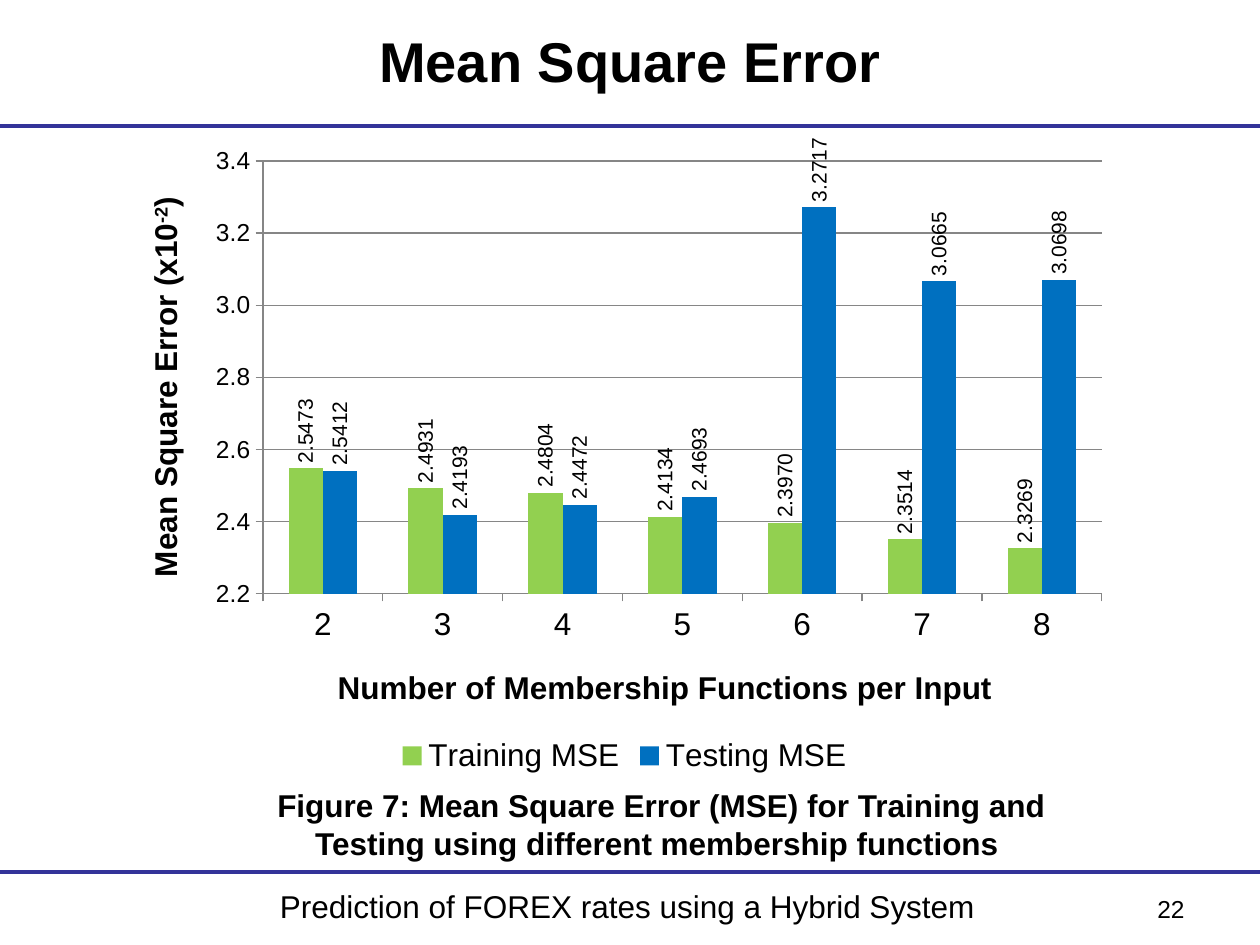
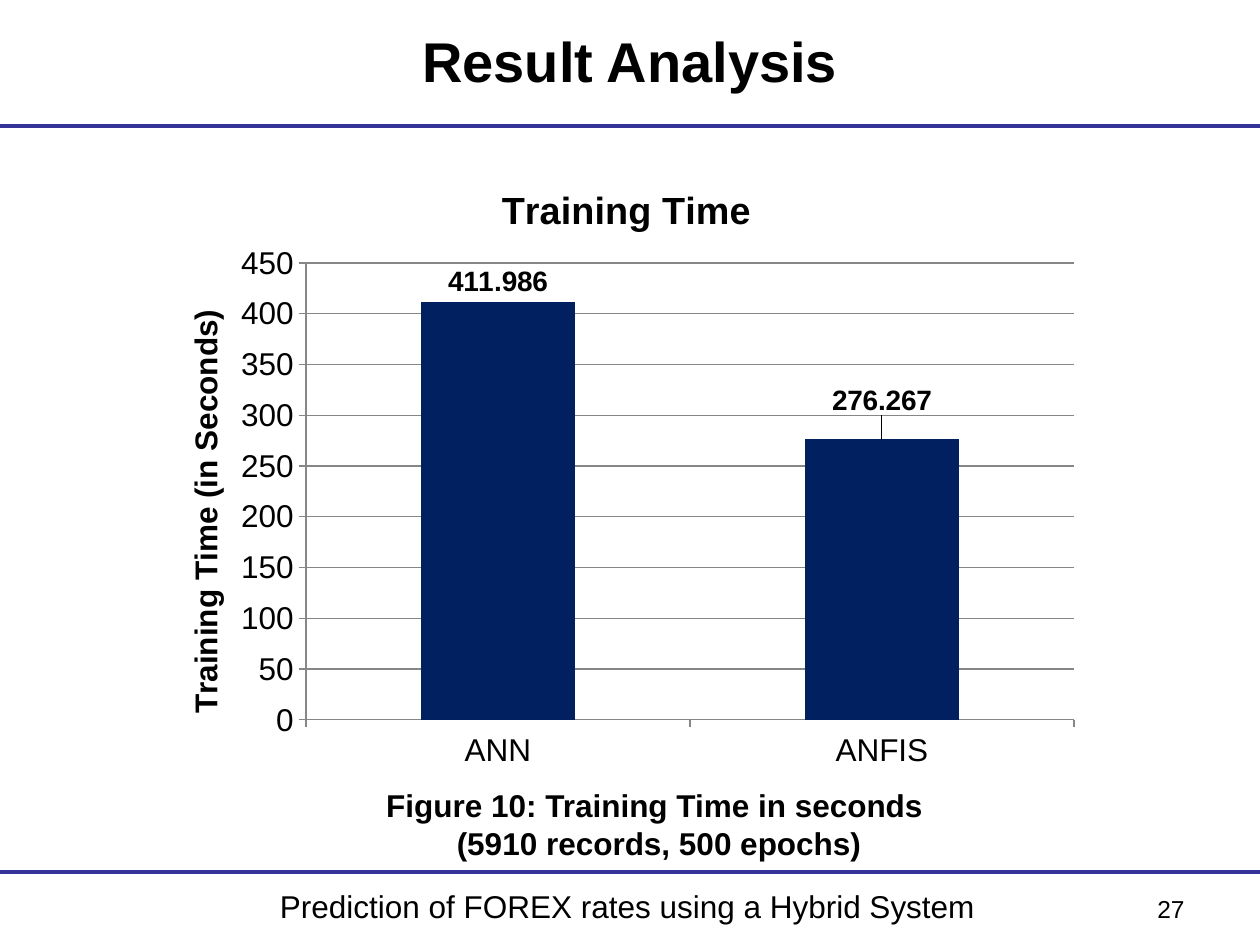
from lxml.etree import SubElement
from pptx import Presentation
from pptx.chart.data import CategoryChartData
from pptx.dml.color import RGBColor
from pptx.enum.chart import XL_CHART_TYPE, XL_LABEL_POSITION, XL_LEGEND_POSITION, XL_TICK_MARK
from pptx.enum.shapes import MSO_CONNECTOR
from pptx.enum.text import MSO_ANCHOR, PP_ALIGN
from pptx.oxml.ns import qn
from pptx.util import Emu, Pt

PX_PER_INCH = 126
WIDTH, HEIGHT = 1260, 945
FONT = "Arial"
BLACK = RGBColor(0x00, 0x00, 0x00)
RULE = RGBColor(0x33, 0x33, 0x99)
GRID = RGBColor(0x86, 0x86, 0x86)
GREEN = RGBColor(0x92, 0xD0, 0x50)
BLUE = RGBColor(0x00, 0x70, 0xC0)
NAVY = RGBColor(0x00, 0x20, 0x60)
FOOTER = "Prediction of FOREX rates using a Hybrid System"
UPWARD = "-5400000"


def px(n):
    return Emu(round(n * 914400 / PX_PER_INCH))


def set_font(font, size, bold=False):
    font.name, font.size, font.bold = FONT, Pt(size), bold
    font.color.rgb = BLACK


def add_text(s, box, lines, size, bold=False, align=PP_ALIGN.CENTER, anchor=MSO_ANCHOR.TOP):
    tf = s.shapes.add_textbox(*map(px, box)).text_frame
    tf.word_wrap = True
    tf.vertical_anchor = anchor
    tf.text = "\n".join(lines)
    for p in tf.paragraphs:
        p.alignment = align
        set_font(p.font, size, bold)


def add_rule(s, y):
    line = s.shapes.add_connector(MSO_CONNECTOR.STRAIGHT, 0, px(y), px(WIDTH), px(y))
    line.line.color.rgb = RULE
    line.line.width = Pt(2.25)
    SubElement(line._element.spPr, qn("a:effectLst"))


def add_base_slide(prs, title, number):
    """Add a slide with the shared title, rules, footer and page number."""
    s = prs.slides.add_slide(prs.slide_layouts[6])
    add_rule(s, 126)
    add_rule(s, 872)
    add_text(s, (164, 881, 927, 57), [FOOTER], 18)
    add_text(s, (63, 16, 1134, 88), [title], 32, bold=True, anchor=MSO_ANCHOR.MIDDLE)
    add_text(s, (903, 888, 294, 66), [str(number)], 14, align=PP_ALIGN.RIGHT)
    return s


def add_layout(parent, values, index=0):
    """Give a chart element a manual layout made of (tag, value) pairs."""
    layout = parent.find(qn("c:layout"))
    if layout is None:
        layout = SubElement(parent, qn("c:layout"))
        parent.insert(index, layout)
    manual = SubElement(layout, qn("c:manualLayout"))
    for tag, value in values:
        SubElement(manual, qn(f"c:{tag}")).set("val", str(value))


def edge_position(chart_box, x, y):
    left, top, width, height = chart_box
    return [("xMode", "edge"), ("yMode", "edge"),
            ("x", round((x - left) / width, 4)), ("y", round((y - top) / height, 4))]


def place_plot(chart, chart_box, plot_box):
    x, y, w, h = plot_box
    size = [("w", round(w / chart_box[2], 4)), ("h", round(h / chart_box[3], 4))]
    add_layout(chart._chartSpace.chart.plotArea,
               [("layoutTarget", "inner")] + edge_position(chart_box, x, y) + size)


def add_chart_title(title, chart_box, x, y, text, size=18, upward=False):
    """Fill a chart or axis title; text between carets is raised."""
    tf = title.text_frame
    p = tf.paragraphs[0]
    set_font(p.font, size, bold=True)
    for i, part in enumerate(text.split("^")):
        r = p.add_run()
        r.text = part
        set_font(r.font, size, bold=True)
        if i % 2:
            r.font._element.set("baseline", "30000")
    if upward:
        tf._txBody.bodyPr.set("rot", UPWARD)
        tf._txBody.bodyPr.set("vert", "horz")
    add_layout(title._element, edge_position(chart_box, x, y), index=1)


def style_axis(axis, size):
    axis.major_tick_mark = XL_TICK_MARK.OUTSIDE
    axis.minor_tick_mark = XL_TICK_MARK.NONE
    axis.format.line.color.rgb = GRID
    set_font(axis.tick_labels.font, size)


def add_column_chart(s, box, plot_box, cats, series, scale, value_size, value_format):
    """Add clustered columns; series holds (name, colour, values), scale (min, max, step)."""
    data = CategoryChartData()
    data.categories = cats
    for name, _, values in series:
        data.add_series(name, values)
    chart = s.shapes.add_chart(XL_CHART_TYPE.COLUMN_CLUSTERED, *map(px, box), data).chart
    set_font(chart.font, 18)
    chart.has_title = chart.has_legend = False
    plot = chart.plots[0]
    plot.gap_width, plot.overlap, plot.vary_by_categories = 150, 0, False
    for ser, (_, colour, _) in zip(plot.series, series):
        ser.format.fill.solid()
        ser.format.fill.fore_color.rgb = colour
    style_axis(chart.category_axis, 18)
    axis = chart.value_axis
    style_axis(axis, value_size)
    axis.minimum_scale, axis.maximum_scale, axis.major_unit = scale
    axis.tick_labels.number_format = value_format
    axis.tick_labels.number_format_is_linked = False
    axis.major_gridlines.format.line.color.rgb = GRID
    place_plot(chart, box, plot_box)
    return chart


def add_value_labels(ser, size, number_format, bold=False, upward=False):
    labels = ser.data_labels
    labels.show_value = True
    labels.position = XL_LABEL_POSITION.OUTSIDE_END
    labels.number_format = number_format
    labels.number_format_is_linked = False
    set_font(labels.font, size, bold)
    if upward:
        body = labels._element.find(qn("c:txPr")).find(qn("a:bodyPr"))
        body.set("rot", UPWARD)
        body.set("vert", "horz")


def raise_label(point, share):
    """Lift one value label by a share of the chart height."""
    label = point.data_label
    set_font(label.font, 16, bold=True)
    label.position = XL_LABEL_POSITION.OUTSIDE_END
    add_layout(label._get_or_add_dLbl(), [("x", 0), ("y", -share)], index=1)


def add_error_slide(prs):
    s = add_base_slide(prs, "Mean Square Error", 22)
    box = (126, 135, 997, 645)
    series = [
        ("Training MSE", GREEN, (2.5473, 2.4931, 2.4804, 2.4134, 2.397, 2.3514, 2.3269)),
        ("Testing MSE", BLUE, (2.5412, 2.4193, 2.4472, 2.4693, 3.2717, 3.0665, 3.0698)),
    ]
    chart = add_column_chart(s, box, (263, 161, 839, 433), [str(n) for n in range(2, 9)],
                             series, (2.2, 3.4, 0.2), 14, "0.0")
    for ser in chart.plots[0].series:
        add_value_labels(ser, 12, "#,##0.0000", upward=True)
    add_chart_title(chart.category_axis.axis_title, box, 332, 661,
                    "Number of Membership Functions per Input")
    add_chart_title(chart.value_axis.axis_title, box, 142, 193,
                    "Mean Square Error (x10^-2^)", upward=True)
    chart.has_legend = True
    chart.legend.position = XL_LEGEND_POSITION.BOTTOM
    chart.legend.include_in_layout = False
    set_font(chart.legend.font, 18)
    add_text(s, (252, 780, 819, 89),
             ["Figure 7: Mean Square Error (MSE) for Training and Testing "
              "using different membership functions "], 18, bold=True)


def add_time_slide(prs):
    s = add_base_slide(prs, "Result Analysis", 27)
    box = (146, 149, 948, 631)
    chart = add_column_chart(s, box, (306, 263, 768, 457), ["ANN", "ANFIS"],
                             [("Series 1", NAVY, (411.986, 276.267))],
                             (0, 450, 50), 18, "General")
    ser = chart.plots[0].series[0]
    add_value_labels(ser, 16, "General", bold=True)
    raise_label(ser.points[1], 0.03)
    chart.has_title = True
    add_chart_title(chart.chart_title, box, 495, 179, "Training Time", size=21.6)
    add_chart_title(chart.value_axis.axis_title, box, 179, 304,
                    "Training Time (in Seconds)", upward=True)
    add_text(s, (320, 780, 678, 89),
             ["Figure 10: Training Time in seconds ", "(5910 records, 500 epochs)"],
             18, bold=True)


def main():
    prs = Presentation()
    prs.slide_width, prs.slide_height = px(WIDTH), px(HEIGHT)
    add_error_slide(prs)
    add_time_slide(prs)
    prs.save("out.pptx")


if __name__ == "__main__":
    main()
